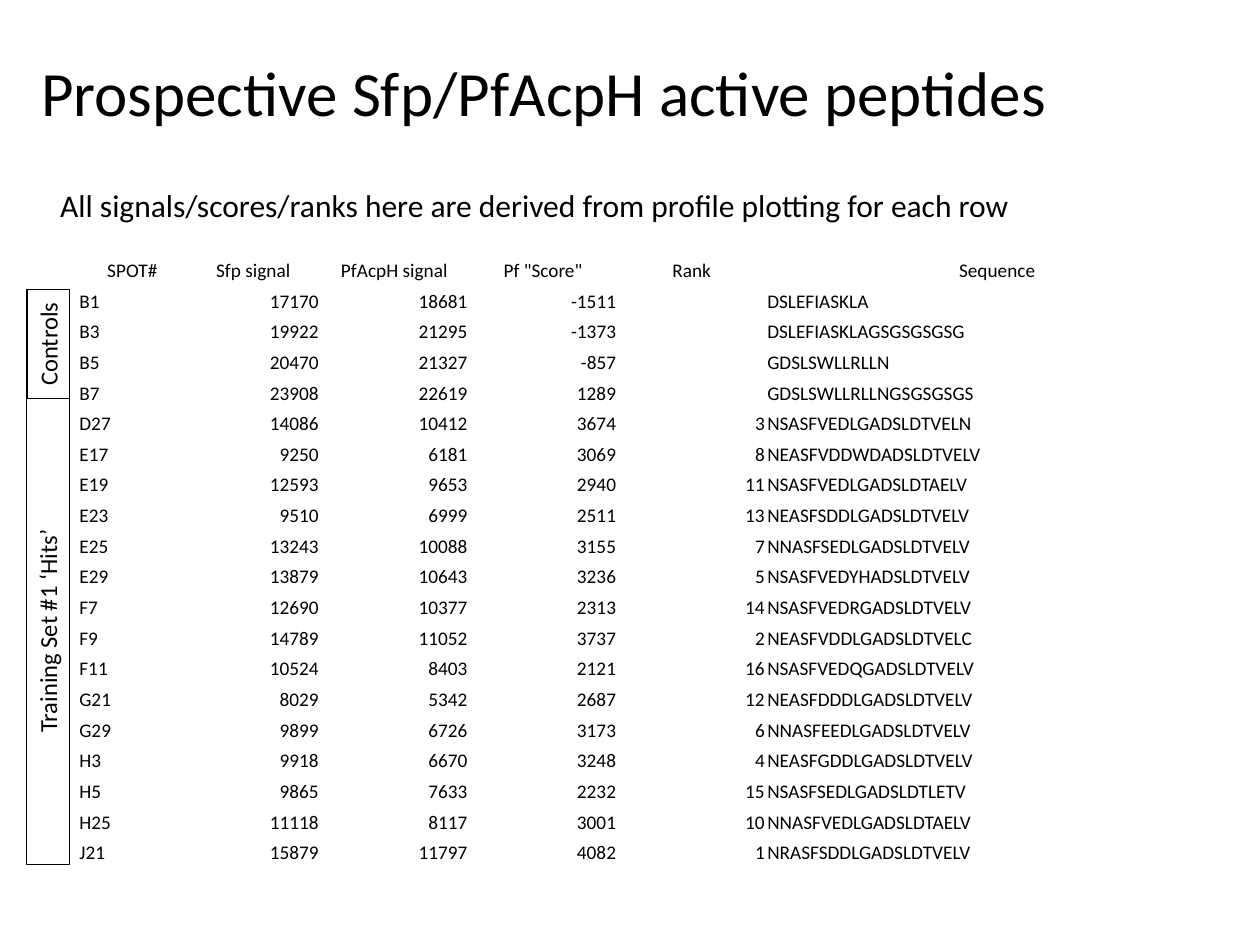
"""Builds the slide of prospective Sfp/PfAcpH active peptides."""
import pptx
import pptx.dml.color
import pptx.enum.shapes
import pptx.enum.text
import pptx.oxml.ns
import pptx.util
from lxml import etree

Inches = pptx.util.Inches
Pt = pptx.util.Pt
ALIGN = pptx.enum.text.PP_ALIGN
ANCHOR = pptx.enum.text.MSO_ANCHOR
BLACK = pptx.dml.color.RGBColor(0, 0, 0)
WHITE = pptx.dml.color.RGBColor(255, 255, 255)
FONT = "Calibri"
qn = pptx.oxml.ns.qn

HEADERS = ["SPOT#", "Sfp signal", "PfAcpH signal", 'Pf "Score"', "Rank", "Sequence"]
PEPTIDES = [
    ("B1", 17170, 18681, -1511, "", "DSLEFIASKLA"),
    ("B3", 19922, 21295, -1373, "", "DSLEFIASKLAGSGSGSGSG"),
    ("B5", 20470, 21327, -857, "", "GDSLSWLLRLLN"),
    ("B7", 23908, 22619, 1289, "", "GDSLSWLLRLLNGSGSGSGS"),
    ("D27", 14086, 10412, 3674, 3, "NSASFVEDLGADSLDTVELN"),
    ("E17", 9250, 6181, 3069, 8, "NEASFVDDWDADSLDTVELV"),
    ("E19", 12593, 9653, 2940, 11, "NSASFVEDLGADSLDTAELV"),
    ("E23", 9510, 6999, 2511, 13, "NEASFSDDLGADSLDTVELV"),
    ("E25", 13243, 10088, 3155, 7, "NNASFSEDLGADSLDTVELV"),
    ("E29", 13879, 10643, 3236, 5, "NSASFVEDYHADSLDTVELV"),
    ("F7", 12690, 10377, 2313, 14, "NSASFVEDRGADSLDTVELV"),
    ("F9", 14789, 11052, 3737, 2, "NEASFVDDLGADSLDTVELC"),
    ("F11", 10524, 8403, 2121, 16, "NSASFVEDQGADSLDTVELV"),
    ("G21", 8029, 5342, 2687, 12, "NEASFDDDLGADSLDTVELV"),
    ("G29", 9899, 6726, 3173, 6, "NNASFEEDLGADSLDTVELV"),
    ("H3", 9918, 6670, 3248, 4, "NEASFGDDLGADSLDTVELV"),
    ("H5", 9865, 7633, 2232, 15, "NSASFSEDLGADSLDTLETV"),
    ("H25", 11118, 8117, 3001, 10, "NNASFVEDLGADSLDTAELV"),
    ("J21", 15879, 11797, 4082, 1, "NRASFSDDLGADSLDTVELV"),
]
COLUMN_WIDTHS = [0.86, 1.06, 1.18, 1.18, 1.18, 3.67]
TABLE_HEIGHT = 4.87


def write(text_frame, text, size, alignment):
    """Put one formatted paragraph into a text frame."""
    text_frame.text = text
    paragraph = text_frame.paragraphs[0]
    paragraph.alignment = alignment
    for run in paragraph.runs:
        run.font.name = FONT
        run.font.size = Pt(size)
        run.font.color.rgb = BLACK
    if not text:
        etree.SubElement(paragraph._p, qn("a:endParaRPr"), sz=str(size * 100))


def add_borders(cell):
    """Give a table cell thin white borders."""
    properties = cell._tc.get_or_add_tcPr()
    for side in ("a:lnL", "a:lnR", "a:lnT", "a:lnB"):
        line = etree.SubElement(properties, qn(side), w=str(Pt(1)))
        fill = etree.SubElement(line, qn("a:solidFill"))
        etree.SubElement(fill, qn("a:srgbClr"), val=str(WHITE))


presentation = pptx.Presentation()
presentation.slide_width = Inches(10)
presentation.slide_height = Inches(7.5)
slide = presentation.slides.add_slide(presentation.slide_layouts[6])

rows = [HEADERS] + PEPTIDES
table = slide.shapes.add_table(
    len(rows), len(HEADERS), Inches(0.62), Inches(2),
    Inches(sum(COLUMN_WIDTHS)), Inches(TABLE_HEIGHT)).table
table.first_row = False
table.horz_banding = False
for column, width in zip(table.columns, COLUMN_WIDTHS):
    column.width = Inches(width)
for row_index, values in enumerate(rows):
    table.rows[row_index].height = Inches(TABLE_HEIGHT / len(rows))
    for column_index, value in enumerate(values):
        cell = table.cell(row_index, column_index)
        cell.margin_left = cell.margin_right = cell.margin_top = Inches(0.01)
        cell.margin_bottom = 0
        cell.vertical_anchor = ANCHOR.BOTTOM
        if row_index == 0:
            alignment = ALIGN.CENTER
        elif isinstance(value, int):
            alignment = ALIGN.RIGHT
        else:
            alignment = ALIGN.LEFT
        write(cell.text_frame, str(value), 11, alignment)
        add_borders(cell)
        cell.fill.background()

for text, left, top, width, height, size, anchor in [
    ("Prospective Sfp/PfAcpH active peptides", 0.23, 0.1, 9, 1.25, 36, ANCHOR.MIDDLE),
    ("All signals/scores/ranks here are derived from profile plotting for each row",
     0.38, 1.43, 9.6, 0.41, 18, ANCHOR.TOP),
]:
    text_box = slide.shapes.add_textbox(Inches(left), Inches(top), Inches(width), Inches(height))
    text_box.text_frame.word_wrap = True
    text_box.text_frame.vertical_anchor = anchor
    write(text_box.text_frame, text, size, ALIGN.LEFT)

for text, left, top, length in [
    ("Controls", -0.05, 2.56, 0.87),
    ("Training Set #1 ‘Hits’", -1.47, 4.84, 3.7),
]:
    group_label = slide.shapes.add_shape(
        pptx.enum.shapes.MSO_SHAPE.RECTANGLE,
        Inches(left), Inches(top), Inches(length), Inches(0.34))
    group_label.rotation = 270
    group_label.shadow.inherit = False
    group_label.fill.background()
    group_label.line.color.rgb = BLACK
    group_label.line.width = Pt(0.75)
    group_label.text_frame.word_wrap = True
    group_label.text_frame.vertical_anchor = ANCHOR.TOP
    write(group_label.text_frame, text, 14, ALIGN.CENTER)

presentation.save("out.pptx")
